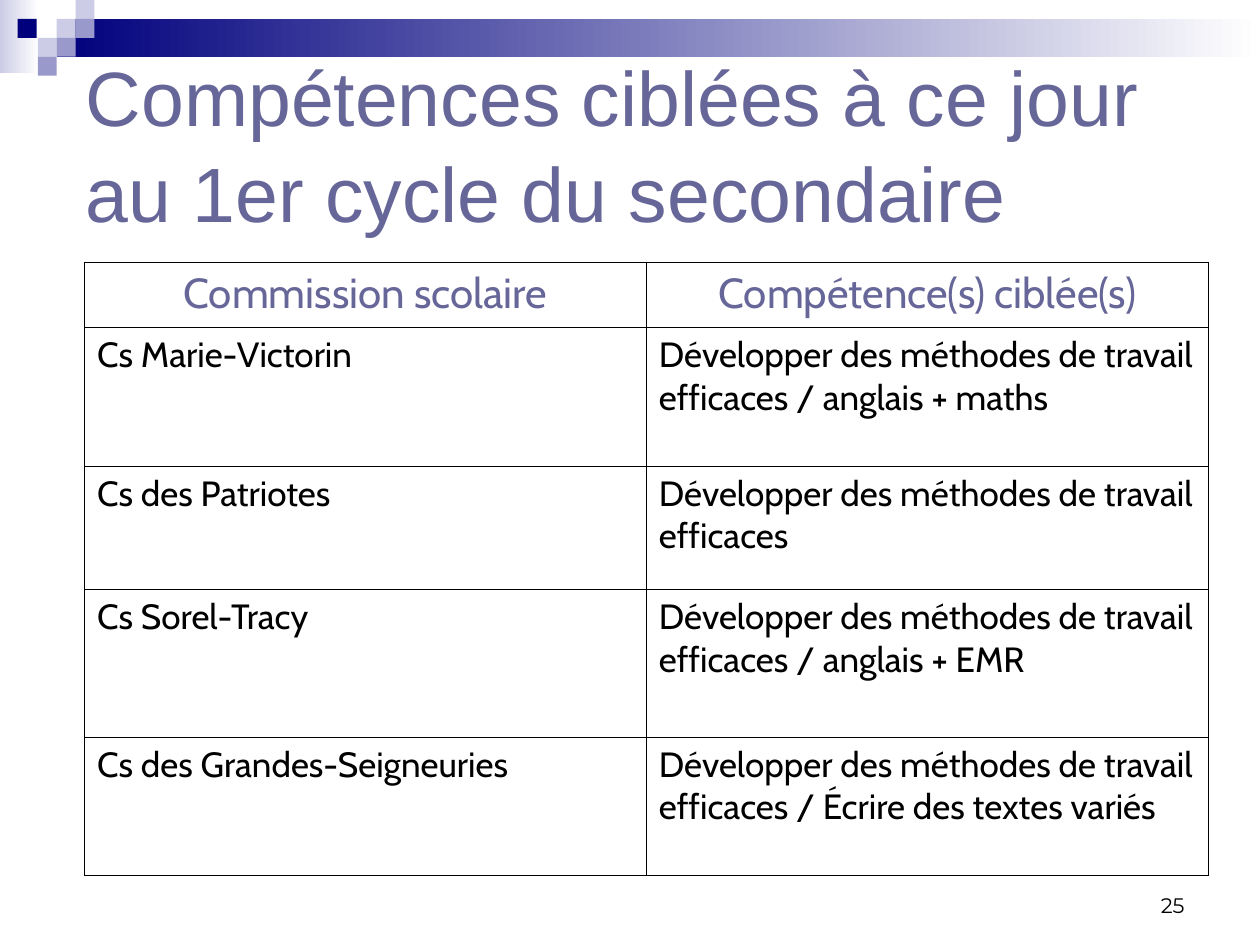
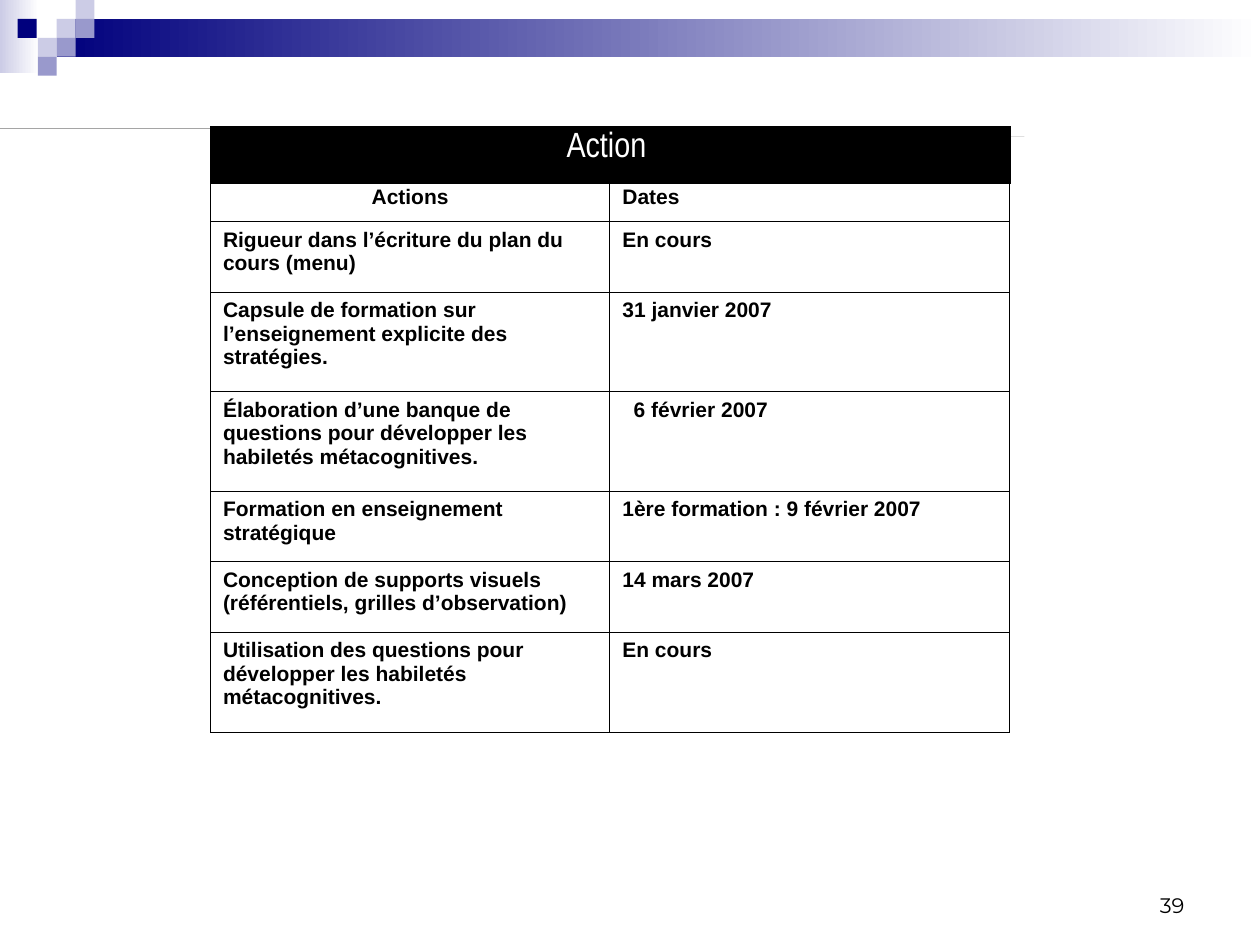
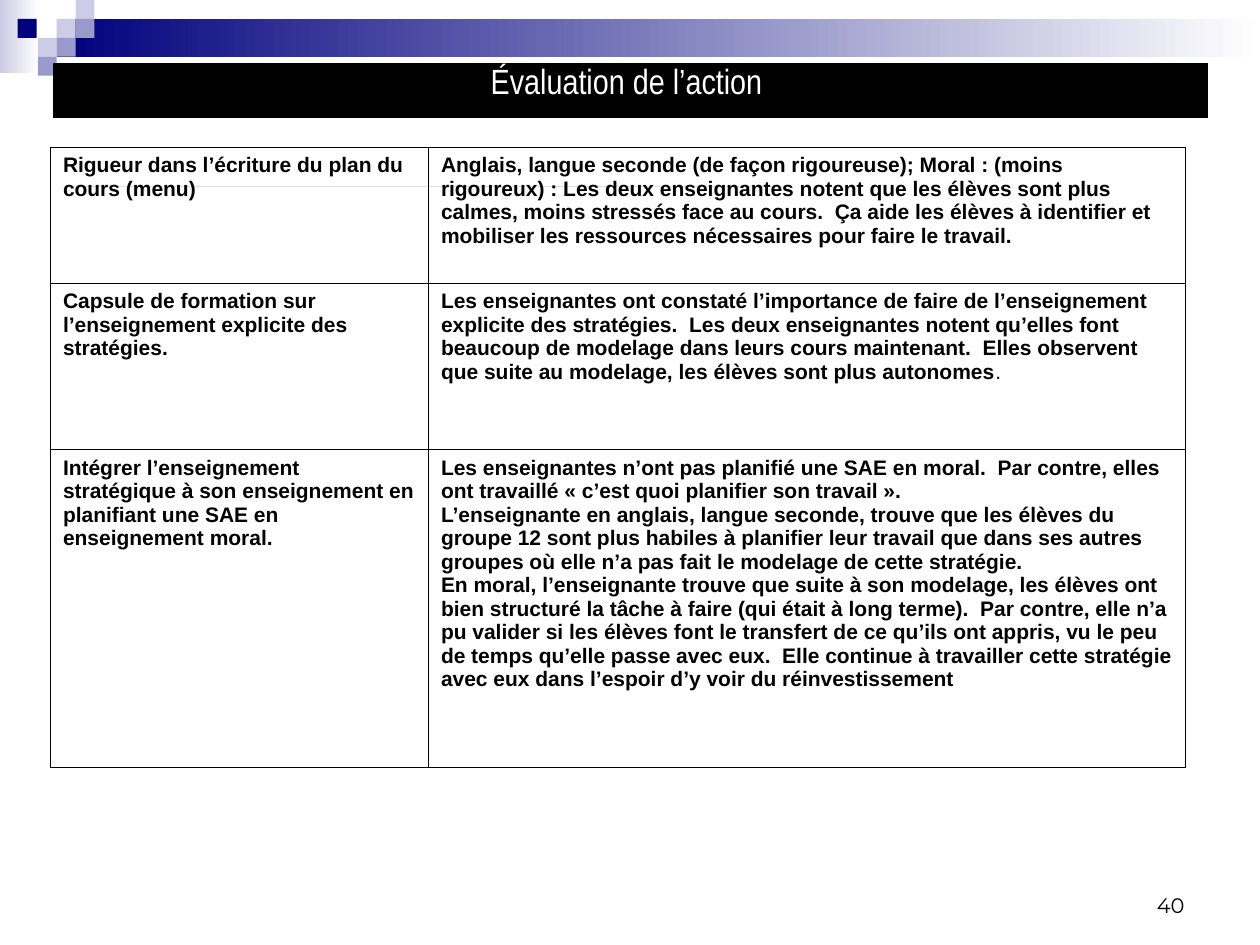
"""Builds three French slides of tables under a shared blue mosaic band."""
import dataclasses
import typing

import pptx
import pptx.dml.color
import pptx.enum.shapes
import pptx.enum.text
import pptx.oxml
import pptx.oxml.ns
import pptx.presentation
import pptx.shapes.autoshape
import pptx.slide
import pptx.util

Inches = pptx.util.Inches
Pt = pptx.util.Pt
ALIGN = pptx.enum.text.PP_ALIGN
ANCHOR = pptx.enum.text.MSO_ANCHOR

COLORS = {
    "white": "FFFFFF",
    "black": "000000",
    "navy": "00007D",
    "lilac": "9999CC",
    "pale": "CCCCE6",
    "slate": "666699",
}

FORMATS = {
    "title": {"name": "Arial", "size": Pt(44), "color": "slate"},
    "heading": {"name": "Cabin", "size": Pt(24), "bold": False, "color": "slate"},
    "body": {"name": "Cabin", "size": Pt(20), "bold": False, "color": "black"},
    "banner": {"name": "Arial Narrow", "size": Pt(20), "bold": False, "color": "white"},
    "strong": {"name": "Arial", "size": Pt(12), "bold": True, "color": "black"},
    "plain": {"name": "Arial", "size": Pt(12), "bold": False, "color": "black"},
    "number": {"name": "Montserrat", "size": Pt(12), "color": "black"},
}

UNIT = 0.15
BORDER_PT = 0.45


@dataclasses.dataclass(frozen=True)
class Block:
    left: float
    top: float
    width: float
    height: float
    color: str
    fades: bool = False


@dataclasses.dataclass(frozen=True)
class Cell:
    paragraphs: tuple[str, ...]
    style: str = "strong"
    align: typing.Any = ALIGN.LEFT
    indent: float = 0
    plain_end: str = ""


@dataclasses.dataclass(frozen=True)
class Grid:
    left: float
    top: float
    cols: tuple[float, ...]
    rows: tuple[float, ...]
    cells: list[list[Cell]]
    fill: str | None = None
    border: str | None = "black"


def square(col: int, row: int, color: str) -> Block:
    return Block(0.3 + col * UNIT, row * UNIT, UNIT, UNIT, color)


MOSAIC = [
    Block(0, 0, 0.31, 0.58, "pale", True),
    Block(0.45, 0.15, 9.55, 0.3, "navy", True),
    square(1, 1, "pale"),
    square(2, 0, "pale"),
    square(2, 1, "lilac"),
    square(0, 2, "pale"),
    Block(0.14, 0.15, UNIT, UNIT, "navy"),
    square(1, 2, "lilac"),
    square(0, 3, "lilac"),
]


def center(text: str, style: str) -> Cell:
    return Cell((text,), style, ALIGN.CENTER)


def banner(left: float, top: float, width: float, height: float, text: str) -> Grid:
    return Grid(left, top, (width,), (height,), [[center(text, "banner")]], "black", None)


SKILLS = Grid(0.67, 2.08, (4.46, 4.46), (0.52, 1.1, 0.98, 1.17, 1.1), [
    [center("Commission scolaire", "heading"), center("Compétence(s) ciblée(s)", "heading")],
    *[[Cell((board,), "body"), Cell(("Développer des méthodes de travail " + skill,), "body")]
      for board, skill in [
          ("Cs Marie-Victorin", "efficaces / anglais + maths"),
          ("Cs des Patriotes", "efficaces"),
          ("Cs Sorel-Tracy", "efficaces / anglais + EMR"),
          ("Cs des Grandes-Seigneuries", "efficaces / Écrire des textes variés"),
      ]],
])

RIGOUR = Cell(("Rigueur dans l’écriture du plan du cours (menu)",))
CAPSULE = Cell(("Capsule de formation sur l’enseignement explicite des stratégies.",))
ONGOING = Cell(("En cours",))

ACTIONS = Grid(1.67, 1.42, (3.17, 3.17), (0.34, 0.56, 0.79, 0.79, 0.56, 0.56, 0.79), [
    [center("Actions", "strong"), Cell(("Dates",))],
    [RIGOUR, ONGOING],
    [CAPSULE, Cell(("31 janvier 2007",))],
    [Cell(("Élaboration d’une banque de questions pour développer les habiletés métacognitives.",)),
     Cell(("6 février 2007",), indent=0.09)],
    [Cell(("Formation en enseignement stratégique",)),
     Cell(("1ère formation : 9 février 2007",))],
    [Cell(("Conception de supports visuels", "(référentiels, grilles d’observation)")),
     Cell(("14 mars 2007",))],
    [Cell(("Utilisation des questions pour développer les habiletés métacognitives.",)), ONGOING],
])

REVIEW = Grid(0.4, 1.17, (3, 6.01), (1.08, 1.32, 2.52), [
    [RIGOUR, Cell((
        "Anglais, langue seconde (de façon rigoureuse); Moral : (moins rigoureux) : Les deux "
        "enseignantes notent que les élèves sont plus calmes, moins stressés face au cours.  "
        "Ça aide les élèves à identifier et mobiliser les ressources nécessaires pour faire "
        "le travail.",))],
    [CAPSULE, Cell((
        "Les enseignantes ont constaté l’importance de faire de l’enseignement explicite des "
        "stratégies.  Les deux enseignantes notent qu’elles font beaucoup de modelage dans "
        "leurs cours maintenant.  Elles observent que suite au modelage, les élèves sont plus "
        "autonomes",), plain_end=".")],
    [Cell(("Intégrer l’enseignement stratégique à son enseignement en planifiant une SAE en "
           "enseignement moral.",)),
     Cell((
         "Les enseignantes n’ont pas planifié une SAE en moral.  Par contre, elles ont "
         "travaillé « c’est quoi planifier son travail ».",
         "L’enseignante en anglais, langue seconde, trouve que les élèves du groupe 12 sont "
         "plus habiles à planifier leur travail que dans ses autres groupes où elle n’a pas "
         "fait le modelage de cette stratégie.",
         "En moral, l’enseignante trouve que suite à son modelage, les élèves ont bien "
         "structuré la tâche à faire (qui était à long terme).  Par contre, elle n’a pu "
         "valider si les élèves font le transfert de ce qu’ils ont appris, vu le peu de temps "
         "qu’elle passe avec eux.  Elle continue à travailler cette stratégie avec eux dans "
         "l’espoir d’y voir du réinvestissement"))],
])


def rgb(color: str) -> pptx.dml.color.RGBColor:
    return pptx.dml.color.RGBColor.from_string(COLORS[color])


def add_run(p: typing.Any, text: str, style: str) -> None:
    r = p.add_run()
    r.text = text
    for key, value in FORMATS[style].items():
        if key == "color":
            r.font.color.rgb = rgb(value)
        else:
            setattr(r.font, key, value)


def add_block(slide: pptx.slide.Slide, block: Block) -> pptx.shapes.autoshape.Shape:
    box = (block.left, block.top, block.width, block.height)
    sp = slide.shapes.add_shape(pptx.enum.shapes.MSO_SHAPE.RECTANGLE, *map(Inches, box))
    sp.shadow.inherit = False
    sp.line.fill.background()
    if block.fades:
        sp.fill.gradient()
        sp.fill.gradient_angle = 180
        for stop, color in zip(sp.fill.gradient_stops, ("white", block.color)):
            stop.color.rgb = rgb(color)
    else:
        sp.fill.solid()
        sp.fill.fore_color.rgb = rgb(block.color)
    return sp


def add_mosaic(prs: pptx.presentation.Presentation, slide: pptx.slide.Slide) -> None:
    for i, block in enumerate(MOSAIC):
        sp = add_block(slide, block)
        sp.element.xpath("p:nvSpPr/p:cNvPr")[0].set("id", str(100 + i))
        prs.slide_master.shapes.element.append(sp.element)


def set_borders(cell: typing.Any, color: str | None) -> None:
    fill = f'<a:solidFill><a:srgbClr val="{COLORS[color]}"/></a:solidFill>' if color else "<a:noFill/>"
    for side in "LRTB":
        cell._tc.get_or_add_tcPr().append(pptx.oxml.parse_xml(
            f'<a:ln{side} {pptx.oxml.ns.nsdecls("a")} w="{Pt(BORDER_PT)}">{fill}</a:ln{side}>'))


def fill_cell(cell: typing.Any, content: Cell, grid: Grid) -> None:
    set_borders(cell, grid.border)
    if grid.fill:
        cell.fill.solid()
        cell.fill.fore_color.rgb = rgb(grid.fill)
    else:
        cell.fill.background()
    cell.margin_left = Inches(0.1 + content.indent)
    tf = cell.text_frame
    for i, text in enumerate(content.paragraphs):
        p = tf.add_paragraph() if i else tf.paragraphs[0]
        p.alignment = content.align
        add_run(p, text, content.style)
    if content.plain_end:
        add_run(p, content.plain_end, "plain")


def add_grid(slide: pptx.slide.Slide, grid: Grid) -> None:
    box = (grid.left, grid.top, sum(grid.cols), sum(grid.rows))
    table = slide.shapes.add_table(len(grid.rows), len(grid.cols), *map(Inches, box)).table
    table.first_row = table.horz_banding = False
    for col, width in zip(table.columns, grid.cols):
        col.width = Inches(width)
    for row, height, contents in zip(table.rows, grid.rows, grid.cells):
        row.height = Inches(height)
        for cell, content in zip(row.cells, contents):
            fill_cell(cell, content, grid)


def add_title(slide: pptx.slide.Slide, lines: tuple[str, ...]) -> None:
    sp = slide.shapes.title
    box = {"left": 0.58, "top": 0.5, "width": 9.08, "height": 1.25}
    for key, value in box.items():
        setattr(sp, key, Inches(value))
    tf = sp.text_frame
    tf.auto_size = pptx.enum.text.MSO_AUTO_SIZE.NONE
    tf.vertical_anchor = ANCHOR.MIDDLE
    p = tf.paragraphs[0]
    p.alignment = ALIGN.LEFT
    p.line_spacing = 1.04
    for i, line in enumerate(lines):
        if i:
            p.add_line_break()
        add_run(p, line, "title")


def add_number(slide: pptx.slide.Slide, number: int) -> None:
    sp = slide.shapes.add_textbox(*map(Inches, (7.17, 6.83, 2.33, 0.5)))
    tf = sp.text_frame
    tf.word_wrap = True
    tf.vertical_anchor = ANCHOR.BOTTOM
    p = tf.paragraphs[0]
    p.alignment = ALIGN.RIGHT
    add_run(p, str(number), "number")


def add_table_slide(prs: pptx.presentation.Presentation, number: int, layout: int,
                    grids: list[Grid], rules: tuple[tuple[float, float], ...] = ()) -> pptx.slide.Slide:
    slide = prs.slides.add_slide(prs.slide_layouts[layout])
    for left, top in rules:
        add_block(slide, Block(left, top, 5.71, 0, "black"))
    for grid in grids:
        add_grid(slide, grid)
    add_number(slide, number)
    return slide


def main() -> None:
    prs = pptx.Presentation()
    prs.slide_width, prs.slide_height = Inches(10), Inches(7.5)
    s = add_table_slide(prs, 25, 5, [SKILLS])
    add_title(s, ("Compétences ciblées à ce jour", "au 1er cycle du secondaire"))
    add_mosaic(prs, s)
    add_table_slide(prs, 39, 6, [banner(1.67, 1, 6.35, 0.46, "Action "), ACTIONS],
                    ((2.42, 1.08), (0, 1.02)))
    add_table_slide(prs, 40, 6, [banner(0.42, 0.5, 9.17, 0.44, "Évaluation de l’action "), REVIEW],
                    ((0.5, 1.48),))
    prs.save("out.pptx")


if __name__ == "__main__":
    main()
